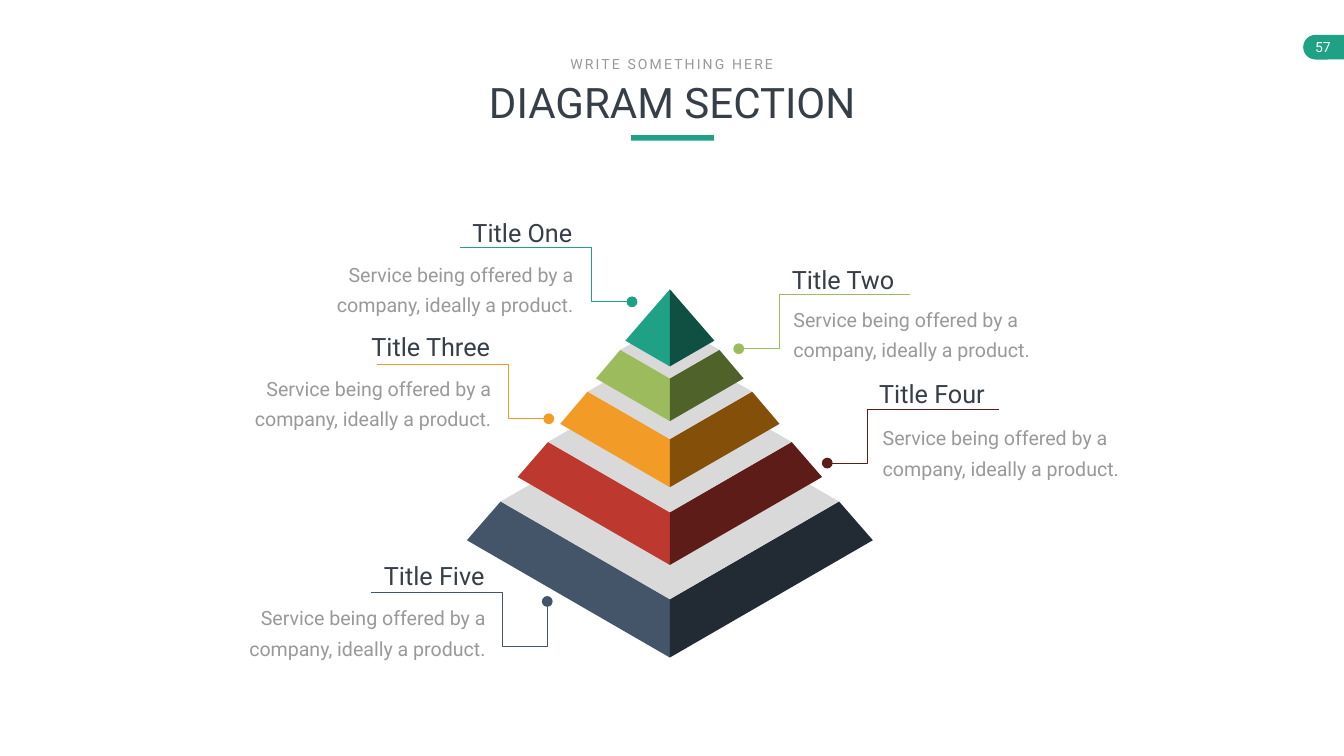
from pptx import Presentation
from pptx.dml.color import RGBColor as RGB
from pptx.enum.shapes import MSO_SHAPE as Kind
from pptx.enum.text import PP_ALIGN as Align
from pptx.oxml.ns import qn
from pptx.util import Pt

GREEN, PINE = RGB(0x1E, 0xA1, 0x85), RGB(0x0F, 0x50, 0x43)
LIME, MOSS = RGB(0x9B, 0xBB, 0x5C), RGB(0x4F, 0x62, 0x29)
AMBER, BROWN = RGB(0xF2, 0x9B, 0x26), RGB(0x84, 0x4F, 0x08)
RED, WINE = RGB(0xBD, 0x39, 0x2F), RGB(0x5E, 0x1C, 0x18)
SLATE, NAVY = RGB(0x44, 0x54, 0x69), RGB(0x22, 0x2A, 0x34)
SILVER, WHITE = RGB(0xD9, 0xD9, 0xD9), RGB(0xFF, 0xFF, 0xFF)
INK, GRAY = RGB(0x36, 0x3E, 0x48), RGB(0x99, 0x99, 0x99)

deck = Presentation()
deck.slide_width, deck.slide_height = Pt(1919.52), Pt(1080)
slide = deck.slides.add_slide(deck.slide_layouts[6])
shapes = slide.shapes


def draw(points, fill=None, line=None):
    """Draw a closed filled face, or an open stroke when only line is given."""
    spots = [(Pt(x), Pt(y)) for x, y in points]
    path = shapes.build_freeform(*spots[0], scale=1.0)
    path.add_line_segments(spots[1:], close=fill is not None)
    form = path.convert_to_shape()
    form.shadow.inherit = False
    if fill is not None:
        form.fill.solid()
        form.fill.fore_color.rgb = fill
        form.line.fill.background()
    else:
        form.fill.background()
        form.line.color.rgb = line
        form.line.width = Pt(1.5)


def write(words, place, size, color, align, pad=(7.2, 3.6), lead=None, wrap=True):
    """Add a text box; pad is the side and top inset, lead the line pitch."""
    box = shapes.add_textbox(*map(Pt, place))
    frame = box.text_frame
    side, top = map(Pt, pad)
    look = {"margin_left": side, "margin_right": side, "margin_top": top,
            "margin_bottom": top, "word_wrap": wrap}
    for key, value in look.items():
        setattr(frame, key, value)
    para = frame.paragraphs[0]
    para.alignment = align
    if lead:
        para.line_spacing = Pt(lead)
    run = para.add_run()
    run.text = words
    for key, value in {"name": "Roboto", "size": Pt(size)}.items():
        setattr(run.font, key, value)
    run.font.color.rgb = color
    return box


# Page badge, title bar and leader dots share one plain style
blocks = [
    (Kind.FLOWCHART_DELAY, (1861.2, 49.7, 35.3, 35.3), 180, GREEN),
    (Kind.RECTANGLE, (1896.5, 49.7, 23.02, 35.3), 0, GREEN),
    (Kind.RECTANGLE, (901.4, 193, 118.1, 7.9), 0, GREEN),
]

# Pyramid tiers from the bottom: shoulder half-width and y, base half-width and y
MID, SLOPE = 956.7, 0.578
tiers = [
    (241.6, 716.4, 289.9, 771.8, SLATE, NAVY),
    (173.9, 631.4, 217.4, 681.5, RED, WINE),
    (117.4, 559.4, 156.6, 605.5, AMBER, BROWN),
    (70.6, 499.7, 105.4, 540.7, LIME, MOSS),
    (0, 413.3, 63.6, 486.7, GREEN, PINE),
]
for half, top, foot, base, light, dark in tiers:
    front = top + half * SLOPE
    for sign, tint in ((-1, light), (1, dark)):
        draw([(MID, front), (MID, base + foot * SLOPE),
              (MID + sign * foot, base), (MID + sign * half, top)], tint)
    if half:
        draw([(MID - half, top), (MID, top - half * SLOPE),
              (MID + half, top), (MID, front)], SILVER)

# Labels: side (-1 left, 1 right), elbow x, rule y, reach and rise of the dot,
# then the outer edge and top of title and body
BODY = "Service being offered by a company, ideally a product."
REACH, DROP, DOT = 187, 77, 15.4
labels = [
    ("Title One", GREEN, -1, 844.6, 354.2, 58, 0, 824.4, 306.7, 835.9, 357.8),
    ("Title Two", LIME, 1, 1113.1, 421.2, 58, 0, 1123.9, 373.7, 1116, 421.9),
    ("Title Three", AMBER, -1, 725.8, 521.3, 58, 0, 707, 469.4, 718.6, 519.8),
    ("Title Four", WINE, 1, 1239.5, 584.6, 58, 0, 1248.5, 537.1, 1243.4, 591.1),
    ("Title Five", SLATE, -1, 717.1, 846.7, 64.5, 64.5, 699.1, 797, 710.6, 848.2),
]
for name, tint, side, bend, rule, reach, rise, edge, top, rim, start in labels:
    end, low = bend - side * reach, rule + DROP
    route = [(bend + side * REACH, rule), (bend, rule), (bend, low), (end, low)]
    if rise:
        route.append((end, low - rise))
    draw(route, line=tint)
    blocks.append((Kind.OVAL, (end - DOT / 2, low - rise - DOT / 2, DOT, DOT), 0, tint))

    align = Align.LEFT if side > 0 else Align.RIGHT
    wide, span = (200.9, 391) if side > 0 else (193.7, 425.5)
    if side < 0:
        edge, rim = edge - wide, rim - span
    write(name, (edge, top, wide, 51.1), 36, INK, align)
    write(BODY, (rim, start, span, 100.1), 28, GRAY, align, (17.3, 8.6), 43)

for kind, place, turn, tint in blocks:
    block = shapes.add_shape(kind, *map(Pt, place))
    block.rotation = turn
    block.shadow.inherit = False
    block.fill.solid()
    block.fill.fore_color.rgb = tint
    block.line.fill.background()

# Heading and page number
write("DIAGRAM SECTION", (511.2, 105.8, 897.8, 79.9), 60, INK, Align.CENTER)
motto = write("WRITE SOMETHING HERE", (802.8, 75.6, 313.2, 31.7), 20, GRAY,
              Align.CENTER, wrap=False)
next(motto.element.iter(qn("a:rPr"))).set("spc", "300")
write("57", (1856.6, 48.2, 65.5, 38.9), 20, WHITE, Align.CENTER, (14.4, 7.2), wrap=False)

deck.save("out.pptx")
